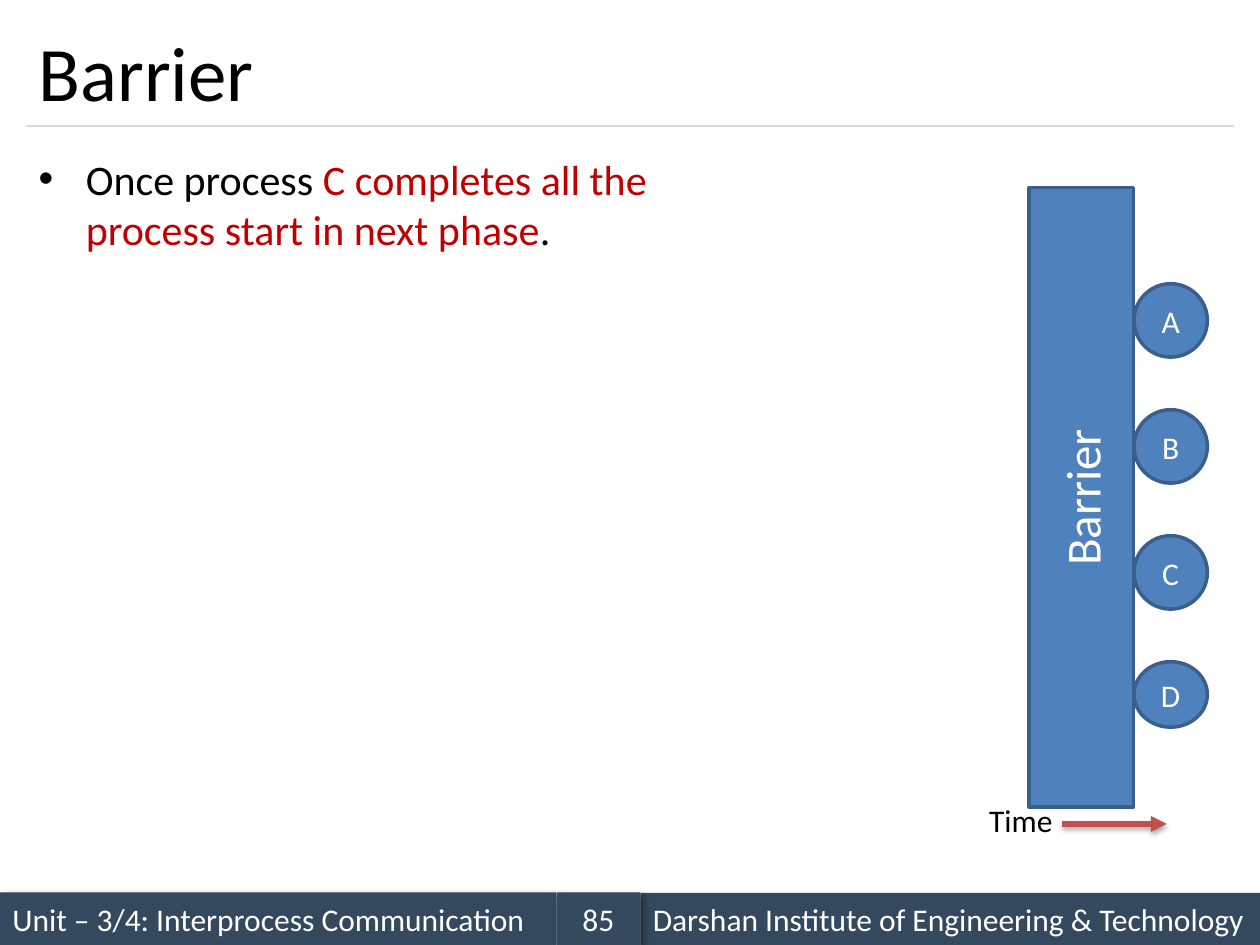
import pptx
import pptx.util
import pptx.dml.color
import pptx.enum.shapes
import pptx.enum.text
import pptx.oxml.ns
from lxml import etree
from dataclasses import dataclass

Cm = pptx.util.Cm
Pt = pptx.util.Pt
RGB = pptx.dml.color.RGBColor.from_string
qn = pptx.oxml.ns.qn
SHAPE = pptx.enum.shapes.MSO_SHAPE
STRAIGHT = pptx.enum.shapes.MSO_CONNECTOR.STRAIGHT
ALIGN = pptx.enum.text.PP_ALIGN
MIDDLE = pptx.enum.text.MSO_ANCHOR.MIDDLE


@dataclass(frozen=True)
class Theme:
    font: str = "Calibri"
    text: str = "000000"
    light: str = "FFFFFF"
    accent: str = "C00000"
    footer: str = "34495E"
    rule: str = "D9D9D9"
    block: str = "4F81BD"
    outline: str = "3A5F8C"
    arrow: str = "C0504D"
    title_size: int = 44
    label_size: int = 28
    body_size: int = 24
    small_size: int = 18


theme = Theme()


def write(shape, text, size, color, align=ALIGN.LEFT, anchor=MIDDLE):
    """Put one paragraph of uniform text in a shape and return it."""
    frame = shape.text_frame
    frame.word_wrap = True
    frame.vertical_anchor = anchor
    paragraph = frame.paragraphs[0]
    paragraph.text = text
    paragraph.alignment = align
    paragraph.font.name = theme.font
    paragraph.font.size = Pt(size)
    paragraph.font.color.rgb = RGB(color)
    return paragraph


def add_shadow(effects, opacity, blur, distance, angle):
    """Add a black outer shadow to an effect list."""
    shadow = etree.SubElement(
        effects, qn("a:outerShdw"), blurRad=str(Pt(blur)), dist=str(Pt(distance)),
        dir=str(angle * 60000), algn="tl", rotWithShape="0")
    black = etree.SubElement(shadow, qn("a:srgbClr"), val="000000")
    etree.SubElement(black, qn("a:alpha"), val=str(opacity * 1000))


presentation = pptx.Presentation()
presentation.slide_width = Cm(25.4)
presentation.slide_height = Cm(19.05)
slide = presentation.slides.add_slide(presentation.slide_layouts[6])
shapes = slide.shapes

# Footer: unit, institute, then page number on top
for left, top, width, text, align in [
    (0, 17.99, 11.22, "Unit – 3/4: Interprocess Communication", ALIGN.LEFT),
    (12.91, 18, 12.49, "Darshan Institute of Engineering & Technology", ALIGN.LEFT),
    (11.22, 17.99, 1.69, "85", ALIGN.CENTER),
]:
    footer = shapes.add_shape(SHAPE.RECTANGLE, Cm(left), Cm(top), Cm(width), Cm(1.06))
    footer.fill.solid()
    footer.fill.fore_color.rgb = RGB(theme.footer)
    footer.line.fill.background()
    footer.shadow.inherit = False
    add_shadow(footer._element.spPr.find(qn("a:effectLst")), 40, 4, 3, 45)
    write(footer, text, theme.small_size, theme.light, align)

# Title and the rule below it
title_rule = shapes.add_connector(STRAIGHT, Cm(0.53), Cm(2.54), Cm(24.87), Cm(2.54))
title_rule.line.color.rgb = RGB(theme.rule)
title_rule.line.width = Pt(0.75)
etree.SubElement(title_rule._element.spPr, qn("a:effectLst"))

title = shapes.add_textbox(Cm(0.53), Cm(0.3), Cm(24.33), Cm(2.24))
write(title, "Barrier", theme.title_size, theme.text)

# Bullet with the key phrase in the accent colour
body = shapes.add_textbox(Cm(0.53), Cm(2.96), Cm(14.4), Cm(14.05))
bullet = body.text_frame.paragraphs[0]
bullet_properties = bullet._p.get_or_add_pPr()
bullet_properties.set("marL", str(Cm(0.95)))
bullet_properties.set("indent", str(-Cm(0.95)))
etree.SubElement(bullet_properties, qn("a:buFont"), typeface="Arial")
etree.SubElement(bullet_properties, qn("a:buChar"), char="•")
write(body, "Once process ", theme.body_size, theme.text,
      anchor=pptx.enum.text.MSO_ANCHOR.TOP)
for text, color in [
    ("C completes all the process start in next phase", theme.accent),
    (".", theme.text),
]:
    phrase = bullet.add_run()
    phrase.text = text
    phrase.font.color.rgb = RGB(color)

# Barrier, and the four processes that have passed it
for kind, left, top, width, height, rotation, text, size in [
    (SHAPE.RECTANGLE, 15.55, 8.97, 12.49, 2.11, 270, "Barrier", theme.label_size),
    *[(SHAPE.OVAL, 22.86, 5.72 + 2.54 * row, 1.48, height, 0, name, theme.small_size)
      for row, (name, height) in enumerate(
          [("A", 1.48), ("B", 1.48), ("C", 1.48), ("D", 1.32)])],
]:
    block = shapes.add_shape(kind, Cm(left), Cm(top), Cm(width), Cm(height))
    block.rotation = rotation
    block.fill.solid()
    block.fill.fore_color.rgb = RGB(theme.block)
    block.line.color.rgb = RGB(theme.outline)
    block.line.width = Pt(2)
    block.shadow.inherit = False
    write(block, text, size, theme.light, ALIGN.CENTER)

# Time axis
time_arrow = shapes.add_connector(STRAIGHT, Cm(21.41), Cm(16.61), Cm(23.52), Cm(16.61))
time_arrow.line.color.rgb = RGB(theme.arrow)
time_arrow.line.width = Pt(3)
arrow_properties = time_arrow._element.spPr
etree.SubElement(arrow_properties.find(qn("a:ln")), qn("a:tailEnd"), type="triangle")
add_shadow(etree.SubElement(arrow_properties, qn("a:effectLst")), 35, 3.1, 1.8, 90)

time_label = shapes.add_textbox(Cm(19.69), Cm(16.03), Cm(1.9), Cm(1.02))
write(time_label, "Time", theme.small_size, theme.text,
      anchor=pptx.enum.text.MSO_ANCHOR.TOP)

presentation.save("out.pptx")
